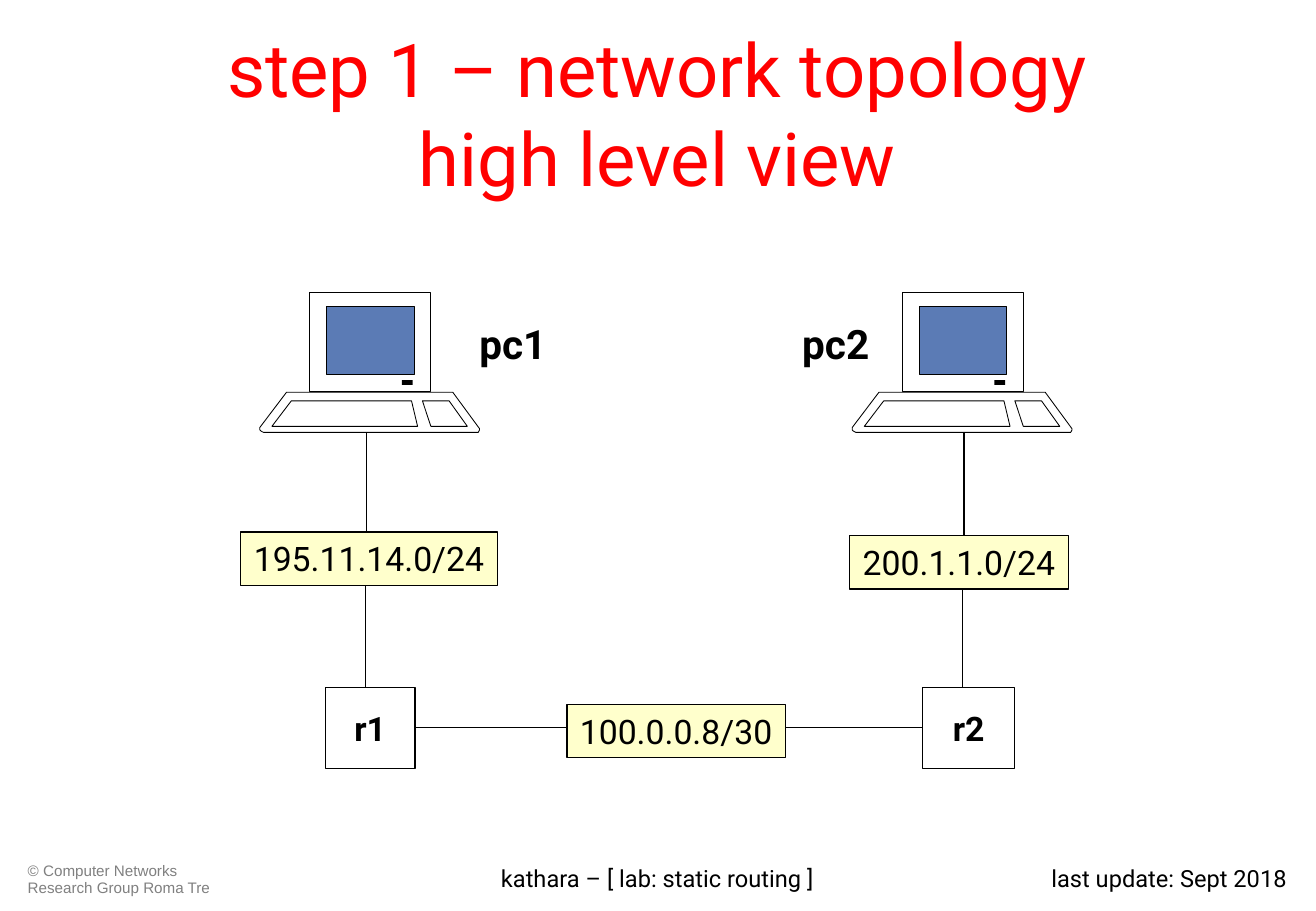
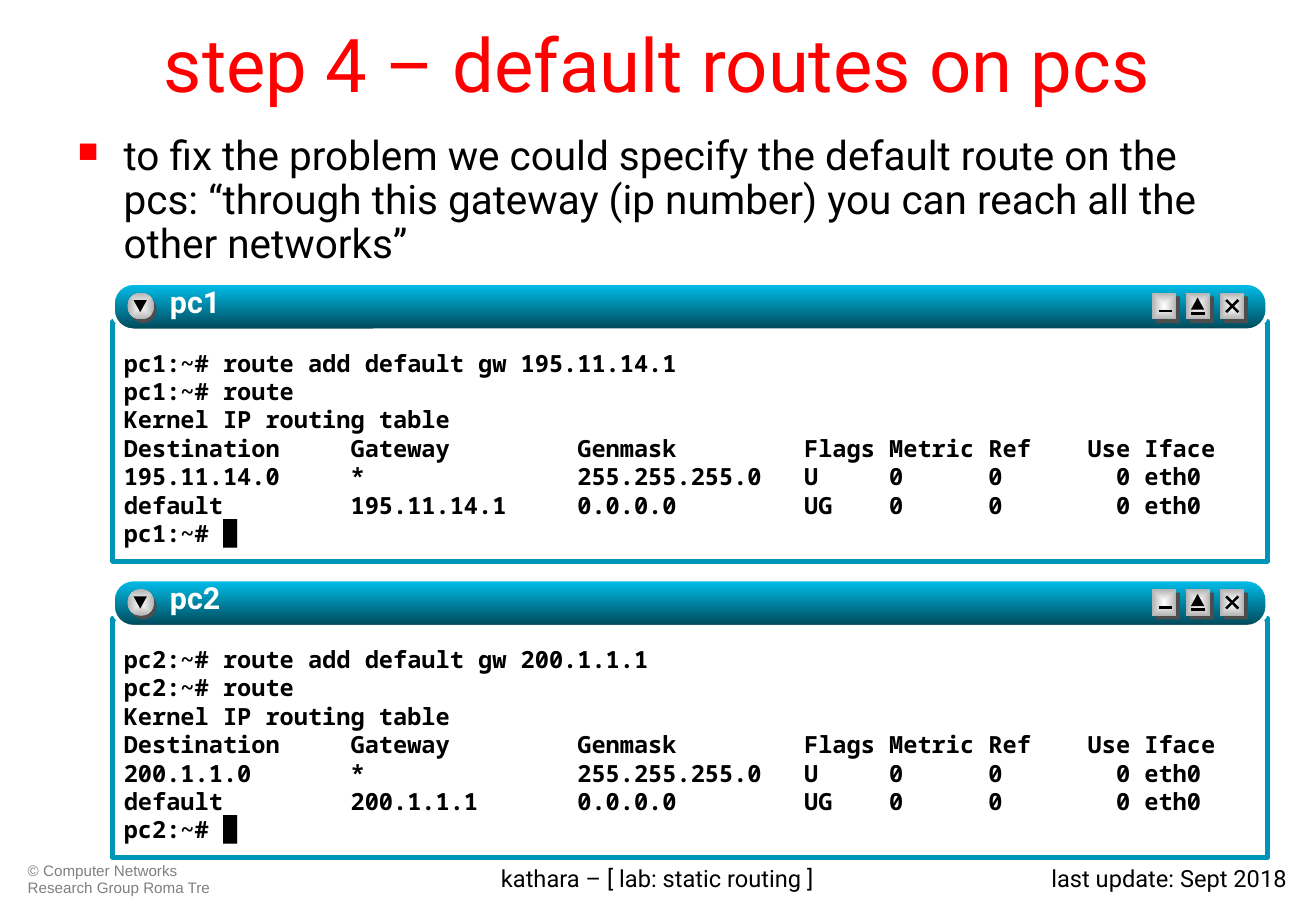
from lxml import etree
from pptx import Presentation
from pptx.dml.color import RGBColor
from pptx.enum.shapes import MSO_CONNECTOR, MSO_SHAPE
from pptx.enum.text import MSO_ANCHOR, PP_ALIGN
from pptx.oxml.ns import qn
from pptx.util import Pt

PX = 9144  # EMU per px, 100 px to the inch
BLANK_LAYOUT = 6

BLACK = RGBColor(0x00, 0x00, 0x00)
WHITE = RGBColor(0xFF, 0xFF, 0xFF)
RED = RGBColor(0xFF, 0x00, 0x00)
GREY = RGBColor(0x80, 0x80, 0x80)
DARK_GREY = RGBColor(0x4D, 0x4D, 0x4D)
SILVER = RGBColor(0xB2, 0xB2, 0xB2)
CREAM = RGBColor(0xFF, 0xFF, 0xCC)
SCREEN_BLUE = RGBColor(0x5B, 0x7B, 0xB5)
TEAL = RGBColor(0x00, 0x95, 0xB8)
BAR_TOP = RGBColor(0x00, 0xC1, 0xEE)
BAR_BOTTOM = RGBColor(0x00, 0x46, 0x56)

SANS = "Roboto"
FOOTER_FONT = "Arial"
MONO = "Noto Sans Mono"

RECT = MSO_SHAPE.RECTANGLE
ROUND_RECT = MSO_SHAPE.ROUNDED_RECTANGLE
OVAL = MSO_SHAPE.OVAL
TRIANGLE = MSO_SHAPE.ISOSCELES_TRIANGLE
STRAIGHT = MSO_CONNECTOR.STRAIGHT
LEFT, CENTER, RIGHT = PP_ALIGN.LEFT, PP_ALIGN.CENTER, PP_ALIGN.RIGHT
TOP, MIDDLE = MSO_ANCHOR.TOP, MSO_ANCHOR.MIDDLE


def add_xml(parent, tag, **attributes):
    return etree.SubElement(parent, qn(tag), attributes)


class Deck:
    def __init__(self):
        self.prs = Presentation()
        self.prs.slide_width = 1084 * PX
        self.prs.slide_height = 750 * PX
        self.shapes = None

    def new_slide(self, title, title_top, title_height):
        layout = self.prs.slide_layouts[BLANK_LAYOUT]
        self.shapes = self.prs.slides.add_slide(layout).shapes
        self.text((13, 706, 188, 36), ["© Computer Networks Research Group Roma Tre"],
                  9, color=GREY, font=FOOTER_FONT, spacing=0.9)
        self.text((823, 706, 247, 36), ["last update: Sept 2018"], 14, align=RIGHT)
        self.text((277, 706, 529, 36), ["kathara – [ lab: static routing ]"], 14, align=CENTER)
        self.text((54, title_top, 975, title_height), [title], 44,
                  color=RED, align=CENTER, anchor=MIDDLE)

    def fill_frame(self, frame, lines, size, color=BLACK, font=SANS, bold=False, align=LEFT,
                   anchor=TOP, margins=(10, 5), spacing=None, bullet=False, wrap=True):
        """Fill a text frame, one paragraph for each line."""
        frame.word_wrap = wrap
        frame.vertical_anchor = anchor
        frame.margin_left = frame.margin_right = margins[0] * PX
        frame.margin_top = frame.margin_bottom = margins[1] * PX
        for number, line in enumerate(lines):
            paragraph = frame.add_paragraph() if number else frame.paragraphs[0]
            paragraph.text = line
            paragraph.alignment = align
            if spacing:
                paragraph.line_spacing = spacing
            if bullet:
                self.add_bullet(paragraph)
            paragraph.font.size = Pt(size)
            paragraph.font.name = font
            paragraph.font.bold = bold
            paragraph.font.color.rgb = color

    def add_bullet(self, paragraph):
        properties = paragraph._p.get_or_add_pPr()
        properties.set("marL", str(38 * PX))
        properties.set("indent", str(-38 * PX))
        add_xml(add_xml(properties, "a:buClr"), "a:srgbClr", val=str(RED))
        add_xml(properties, "a:buSzPct", val="70000")
        add_xml(properties, "a:buChar", char="■")

    def text(self, box, lines, size, **style):
        frame = self.shapes.add_textbox(*(v * PX for v in box)).text_frame
        self.fill_frame(frame, lines, size, **style)
        return frame

    def paint(self, shape, fill, line, width):
        shape.shadow.inherit = False
        if fill is not None:
            shape.fill.solid()
            shape.fill.fore_color.rgb = fill
        if line is None:
            shape.line.fill.background()
        else:
            shape.line.color.rgb = line
            shape.line.width = Pt(width)
        return shape

    def shape(self, kind, box, fill=None, line=None, width=0.75):
        shape = self.shapes.add_shape(kind, *(v * PX for v in box))
        return self.paint(shape, fill, line, width)

    def gradient(self, shape, start, end):
        shape.fill.gradient()
        shape.fill.gradient_angle = 270
        for stop, color in zip(shape.fill.gradient_stops, (start, end)):
            stop.color.rgb = color

    def line(self, x1, y1, x2, y2, width=0.75):
        line = self.shapes.add_connector(STRAIGHT, *(v * PX for v in (x1, y1, x2, y2)))
        line.line.color.rgb = BLACK
        line.line.width = Pt(width)
        add_xml(line._element.spPr, "a:effectLst")

    def outline(self, left, top, points):
        start, *rest = [(left + x, top + y) for x, y in points]
        builder = self.shapes.build_freeform(*start, scale=PX)
        builder.add_line_segments(rest, close=True)
        self.paint(builder.convert_to_shape(), WHITE, BLACK, 0.5)

    def labelled_box(self, box, label, fill, **style):
        shape = self.shape(RECT, box, fill, BLACK)
        self.fill_frame(shape.text_frame, [label], 20, align=CENTER, wrap=False, **style)

    def router(self, box, name):
        self.labelled_box(box, name, WHITE, bold=True, anchor=MIDDLE)

    def network(self, left, top, width, address):
        self.labelled_box((left, top, width, 44), address, CREAM)

    def computer(self, left, top):
        base = [(22, 82), (159, 82), (181, 112), (181, 113), (180, 115), (179, 115),
                (3, 115), (1, 114), (0, 113), (0, 111)]
        keyboard = [(26, 89), (125, 89), (130, 110), (10, 110)]
        keypad = [(134, 89), (156, 89), (171, 110), (141, 110)]
        for points in (base, keyboard, keypad):
            self.outline(left, top, points)
        self.shape(RECT, (left + 41, top, 100, 81), WHITE, BLACK, 0.5)
        self.shape(RECT, (left + 117, top + 72, 9, 4), BLACK)
        self.shape(RECT, (left + 55, top + 11, 72, 56), SCREEN_BLUE, BLACK, 0.5)

    def button(self, kind, left, top, width, shadow_shift):
        self.shape(kind, (left + shadow_shift, top + 3, width, 22), DARK_GREY)
        face = self.shape(kind, (left, top, width, 22))
        self.gradient(face, WHITE, SILVER)
        fill = face._element.spPr.find(qn("a:gradFill"))
        fill.remove(fill.find(qn("a:lin")))
        add_xml(add_xml(fill, "a:path", path="rect"), "a:fillToRect",
                **dict.fromkeys("ltrb", "50000"))

    def window(self, top, name, lines):
        """Draw a terminal window whose title bar starts at top."""
        self.shape(RECT, (93, top + 32, 951, 197), WHITE, TEAL, 3)
        self.text((94, top + 50, 950, 179), lines, 14, font=MONO, bold=True, margins=(8, 4))
        bar = self.shape(ROUND_RECT, (93, top, 951, 39), line=WHITE, width=2.25)
        bar.adjustments[0] = 0.43
        self.gradient(bar, BAR_TOP, BAR_BOTTOM)

        self.button(OVAL, 105, top + 8, 22, 2)
        menu_arrow = self.shape(TRIANGLE, (110, top + 14, 11, 10), BLACK)
        menu_arrow.rotation = 180

        minimize, maximize, close = (949 + 28 * i for i in range(3))
        for left in (minimize, maximize, close):
            self.button(RECT, left, top + 8, 20, 3)
        self.line(minimize + 6, top + 23, minimize + 16, top + 23, 1.5)
        self.line(maximize + 4, top + 25, maximize + 16, top + 25, 1.5)
        self.shape(TRIANGLE, (maximize + 4, top + 12, 11, 10), BLACK)
        for start, end in ((24, 14), (14, 24)):
            self.line(close + 5, top + start, close + 15, top + end, 1.5)

        caption = self.text((140, top, 725, 39), [name], 18, color=WHITE, bold=True,
                            margins=(0, 0))
        run = caption.paragraphs[0].runs[0]._r
        effects = add_xml(run.get_or_add_rPr(), "a:effectLst")
        shadow = add_xml(effects, "a:outerShdw", dist="17961", dir="2700000")
        add_xml(shadow, "a:srgbClr", val=str(BLACK))


def routing_session(host, network, gateway):
    """Return the terminal lines that add a default route and list the table."""
    def row(destination, via, mask, flags):
        return f"{destination:<16}{via:<16}{mask:<16}{flags:<6}0      0        0 eth0"

    prompt = f"{host}:~#"
    return [
        f"{prompt} route add default gw {gateway}",
        f"{prompt} route",
        "Kernel IP routing table",
        "Destination     Gateway         Genmask         Flags Metric Ref    Use Iface",
        row(network, "*", "255.255.255.0", "U"),
        row("default", gateway, "0.0.0.0", "UG"),
        f"{prompt} █",
    ]


def topology_slide(deck):
    deck.new_slide("step 1 – network topology\nhigh level view", 30, 125)
    for link in ((794, 344, 794, 452), (302, 338, 302, 446), (793, 474, 793, 574),
                 (776, 599, 335, 599), (301, 474, 301, 583)):
        deck.line(*link)
    deck.router((268, 566, 74, 67), "r1")
    deck.router((760, 566, 76, 67), "r2")
    deck.network(467, 580, 180, "100.0.0.8/30")
    deck.network(198, 438, 212, "195.11.14.0/24")
    deck.network(700, 441, 180, "200.1.1.0/24")
    for name, computer_left, name_left in (("pc1", 214, 385), ("pc2", 702, 651)):
        deck.computer(computer_left, 241)
        deck.text((name_left, 258, 92, 50), [name], 24, bold=True)


def default_routes_slide(deck):
    deck.new_slide("step 4 – default routes on pcs", 5, 93)
    deck.text((54, 107, 975, 118),
              ["to fix the problem we could specify the default route on the pcs: "
               "“through this gateway (ip number) you can reach all the other networks”"],
              24, spacing=0.9, bullet=True)
    sessions = (("pc1", "195.11.14.0", "195.11.14.1"), ("pc2", "200.1.1.0", "200.1.1.1"))
    for number, (host, network, gateway) in enumerate(sessions):
        deck.window(233 + 244 * number, host, routing_session(host, network, gateway))


def main():
    deck = Deck()
    topology_slide(deck)
    default_routes_slide(deck)
    deck.prs.save("out.pptx")


if __name__ == "__main__":
    main()
